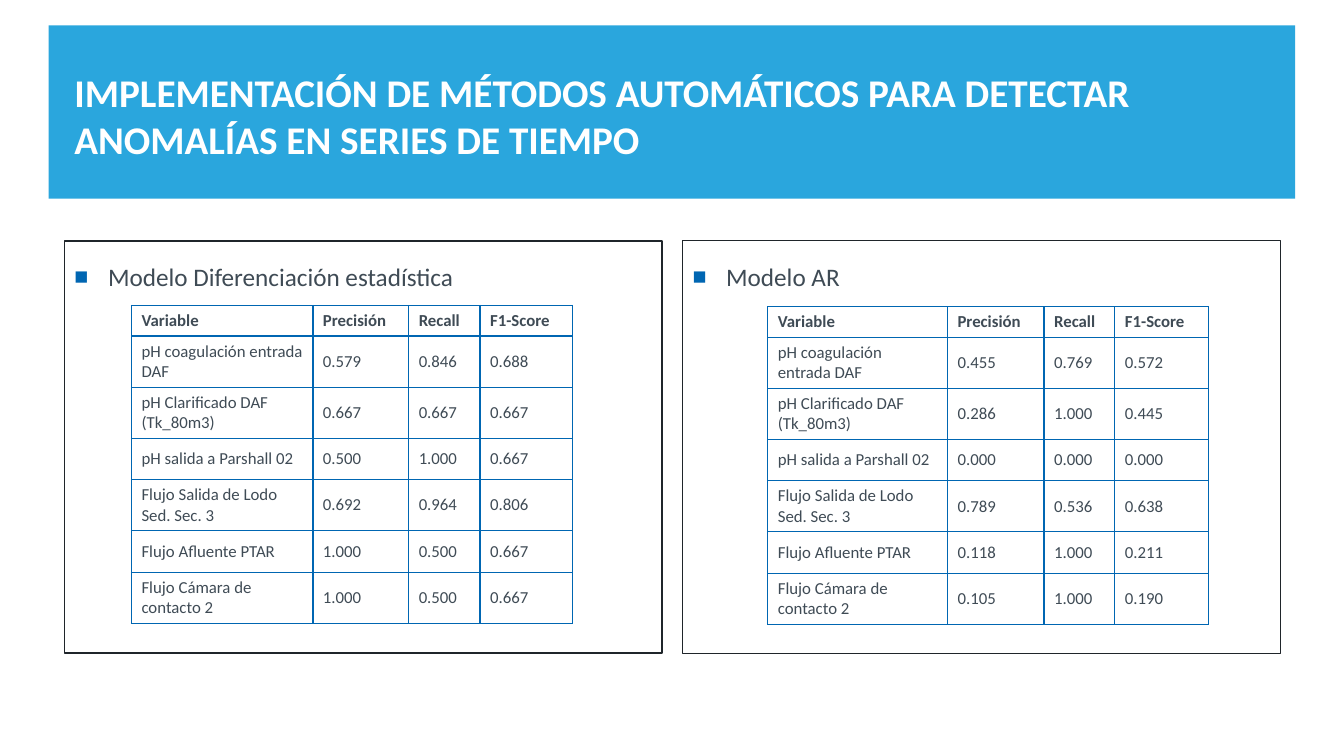
from lxml import etree
from pptx import Presentation
from pptx import util as u
from pptx.dml import color
from pptx.enum import shapes, text
from pptx.oxml import ns

FONT = "Calibri"
BAND, BLUE, INK, FRAME, WHITE = "2AA6DD", "0066B2", "3F4B55", "1F252A", "FFFFFF"

HEADER = ["Variable", "Precisión", "Recall", "F1-Score"]
VARIABLES = [
    "pH coagulación entrada DAF",
    "pH Clarificado DAF (Tk_80m3)",
    "pH salida a Parshall 02",
    "Flujo Salida de Lodo Sed. Sec. 3",
    "Flujo Afluente PTAR",
    "Flujo Cámara de contacto 2",
]
DIFFERENCING_SCORES = [
    (0.579, 0.846, 0.688),
    (0.667, 0.667, 0.667),
    (0.5, 1, 0.667),
    (0.692, 0.964, 0.806),
    (1, 0.5, 0.667),
    (1, 0.5, 0.667),
]
AR_SCORES = [
    (0.455, 0.769, 0.572),
    (0.286, 1, 0.445),
    (0, 0, 0),
    (0.789, 0.536, 0.638),
    (0.118, 1, 0.211),
    (0.105, 1, 0.19),
]
ROW_HEIGHTS = [21.6, 36.4, 36.4, 29.6, 36.4, 29.6, 36.4]


def rgb(value):
    return color.RGBColor.from_string(value)


def add_xml(parent, tag, **attributes):
    return etree.SubElement(parent, ns.qn(tag), attributes)


class SlideBuilder:
    """Holds the text style and the page being filled."""

    def __init__(self, page, font):
        self.page = page
        self.font = font

    def place(self, shape, left, top, width, height):
        shape.left, shape.top = u.Pt(left), u.Pt(top)
        shape.width, shape.height = u.Pt(width), u.Pt(height)

    def add_span(self, para, words, size, ink, bold=False):
        span = para.add_run()
        span.text = words
        span.font.name = self.font
        span.font.size = u.Pt(size)
        span.font.bold = bold
        span.font.color.rgb = rgb(ink)

    def band(self, left, top, width, height, fill):
        box = self.page.shapes.add_shape(
            shapes.MSO_SHAPE.RECTANGLE, u.Pt(left), u.Pt(top), u.Pt(width), u.Pt(height))
        box.shadow.inherit = False
        box.fill.solid()
        box.fill.fore_color.rgb = rgb(fill)
        box.line.fill.background()

    def title(self, words, *area):
        box = self.page.shapes.title
        self.place(box, *area)
        # Bring the title in front of the band
        self.page.shapes._spTree.append(box._element)
        frame = box.text_frame
        frame.auto_size = text.MSO_AUTO_SIZE.NONE
        frame.vertical_anchor = text.MSO_ANCHOR.MIDDLE
        para = frame.paragraphs[0]
        para.alignment = text.PP_ALIGN.LEFT
        self.add_span(para, words, 28, WHITE, bold=True)

    def panel(self, index, words, line_width, *area):
        box = self.page.placeholders[index]
        self.place(box, *area)
        box.line.color.rgb = rgb(FRAME)
        box.line.width = u.Pt(line_width)
        box.text_frame.auto_size = text.MSO_AUTO_SIZE.NONE
        para = box.text_frame.paragraphs[0]
        # Square bullet with a hanging indent
        props = para._p.get_or_add_pPr()
        props.set("marL", str(u.Pt(24)))
        props.set("indent", str(u.Pt(-24)))
        add_xml(add_xml(props, "a:buClr"), "a:srgbClr", val=BLUE)
        add_xml(props, "a:buSzPct", val="92000")
        add_xml(props, "a:buChar", char="■")
        para.line_spacing = 1.5
        para.space_before, para.space_after = u.Pt(0), u.Pt(6)
        self.add_span(para, words, 18, INK)

    def cell(self, cell, words, bold):
        cell.vertical_anchor = text.MSO_ANCHOR.MIDDLE
        props = cell._tc.get_or_add_tcPr()
        for side in ("a:lnL", "a:lnR", "a:lnT", "a:lnB"):
            line = add_xml(props, side, w=str(u.Pt(1)))
            add_xml(add_xml(line, "a:solidFill"), "a:srgbClr", val=BLUE)
        cell.fill.background()
        self.add_span(cell.text_frame.paragraphs[0], words, 12, INK, bold)

    def table(self, left, top, widths, scores):
        rows = [HEADER] + [
            [name] + [f"{score:.3f}" for score in line]
            for name, line in zip(VARIABLES, scores)]
        grid = self.page.shapes.add_table(
            len(rows), len(widths), u.Pt(left), u.Pt(top),
            u.Pt(sum(widths)), u.Pt(sum(ROW_HEIGHTS))).table
        grid.first_row = grid.horz_banding = False
        for column, width in zip(grid.columns, widths):
            column.width = u.Pt(width)
        for row, height in zip(grid.rows, ROW_HEIGHTS):
            row.height = u.Pt(height)
        for r, row in enumerate(rows):
            for c, words in enumerate(row):
                self.cell(grid.cell(r, c), words, bold=r == 0)


def main():
    deck = Presentation()
    deck.slide_width, deck.slide_height = u.Pt(960), u.Pt(540)
    page = deck.slides.add_slide(deck.slide_layouts.get_by_name("Two Content"))
    build = SlideBuilder(page, FONT)

    # Heading
    build.band(34.8, 18.2, 890.4, 123.8, BAND)
    build.title("IMPLEMENTACIÓN DE MÉTODOS AUTOMÁTICOS PARA DETECTAR "
                "ANOMALÍAS EN SERIES DE TIEMPO", 46, 42.5, 868, 80)

    # One framed panel per model
    build.panel(1, "Modelo Diferenciación estadística", 1, 46, 172, 427, 294.5)
    build.panel(2, "Modelo AR", 0.75, 487.5, 172, 427, 294.5)

    # Score tables
    build.table(93.9, 218.2, [129.6, 68.4, 51, 66], DIFFERENCING_SCORES)
    build.table(548.4, 219, [128.4, 69, 50.6, 67], AR_SCORES)

    deck.save("out.pptx")


if __name__ == "__main__":
    main()
